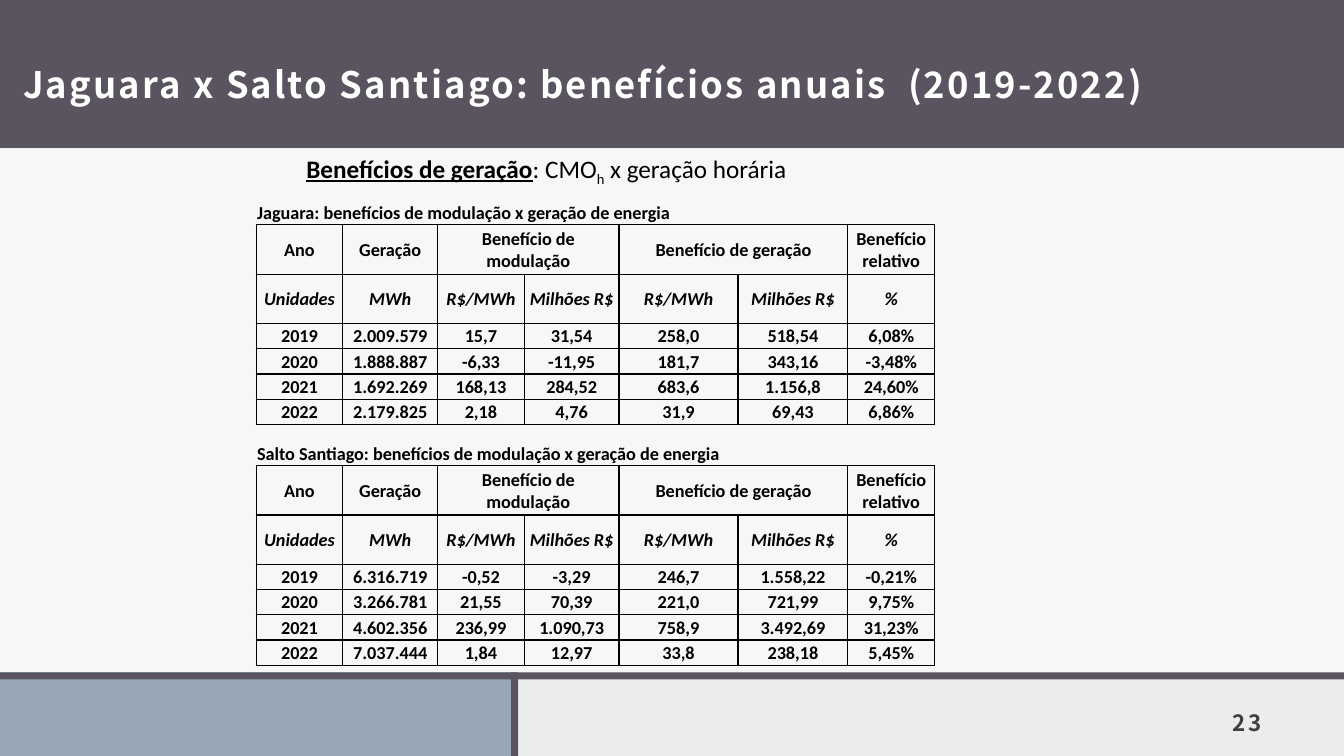
import pptx
import pptx.dml.color
import pptx.enum.shapes
import pptx.enum.text
import pptx.oxml
import pptx.oxml.ns
import pptx.util
from lxml import etree

WIDTH, HEIGHT = 13.33, 7.5
PLUM, MIST, STEEL, WHITE, BLACK = "595460", "EBEDEB", "97A7B8", "FFFFFF", "000000"
HEADING_FONT, BODY_FONT = "Noto Sans CJK JP", "Calibri"
ALIGN = pptx.enum.text.PP_ALIGN
ANCHOR = pptx.enum.text.MSO_ANCHOR

HEADER_HEIGHT, FOOTER_TOP, FOOTER_SPLIT, RULE = 1.47, 6.67, 5.07, 0.07
TABLE_LEFT = 2.54
COLUMNS = [0.86, 0.94, 0.86, 0.94, 1.18, 1.09, 0.86]
ROWS = [0.25, 0.49, 0.49] + [0.25] * 4
HEADINGS = ["Ano", "Geração", "Benefício de modulação", "",
            "Benefício de geração", "", "Benefício relativo"]
UNITS = ["Unidades", "MWh", "R$/MWh", "Milhões R$", "R$/MWh", "Milhões R$", "%"]
JAGUARA = [
    ["2019", "2.009.579", "15,7", "31,54", "258,0", "518,54", "6,08%"],
    ["2020", "1.888.887", "-6,33", "-11,95", "181,7", "343,16", "-3,48%"],
    ["2021", "1.692.269", "168,13", "284,52", "683,6", "1.156,8", "24,60%"],
    ["2022", "2.179.825", "2,18", "4,76", "31,9", "69,43", "6,86%"],
]
SALTO_SANTIAGO = [
    ["2019", "6.316.719", "-0,52", "-3,29", "246,7", "1.558,22", "-0,21%"],
    ["2020", "3.266.781", "21,55", "70,39", "221,0", "721,99", "9,75%"],
    ["2021", "4.602.356", "236,99", "1.090,73", "758,9", "3.492,69", "31,23%"],
    ["2022", "7.037.444", "1,84", "12,97", "33,8", "238,18", "5,45%"],
]


def inches(*lengths):
    return [pptx.util.Inches(length) for length in lengths]


def color(hex_code):
    return pptx.dml.color.RGBColor.from_string(hex_code)


def set_font(paragraph, name, size, hex_code, bold=None, spacing=None):
    font = paragraph.font
    font.name, font.size, font.bold = name, pptx.util.Pt(size), bold
    font.color.rgb = color(hex_code)
    if spacing:
        font._rPr.set("spc", str(int(spacing * 100)))


def add_band(slide, left, top, width, height, hex_code, opacity=None):
    band = slide.shapes.add_shape(pptx.enum.shapes.MSO_SHAPE.RECTANGLE,
                                  *inches(left, top, width, height))
    band.shadow.inherit = False
    band.line.fill.background()
    band.fill.solid()
    band.fill.fore_color.rgb = color(hex_code)
    if opacity:
        srgb = band._element.spPr.find(".//" + pptx.oxml.ns.qn("a:srgbClr"))
        etree.SubElement(srgb, pptx.oxml.ns.qn("a:alpha"), val=str(opacity * 1000))


def add_backdrop(slide):
    slide.background.fill.solid()
    slide.background.fill.fore_color.rgb = color(MIST)
    add_band(slide, 0, 0, WIDTH, HEADER_HEIGHT, PLUM)
    add_band(slide, 0, HEADER_HEIGHT, WIDTH, FOOTER_TOP - HEADER_HEIGHT, WHITE, opacity=60)
    add_band(slide, 0, FOOTER_TOP, FOOTER_SPLIT, HEIGHT - FOOTER_TOP, STEEL)
    add_band(slide, 0, FOOTER_TOP, WIDTH, RULE, PLUM)
    add_band(slide, FOOTER_SPLIT, FOOTER_TOP, RULE, HEIGHT - FOOTER_TOP, PLUM)


def set_frame(shape, anchor):
    frame = shape.text_frame
    frame.word_wrap = True
    frame.auto_size = pptx.enum.text.MSO_AUTO_SIZE.NONE
    frame.vertical_anchor = anchor
    frame.margin_left, frame.margin_top, frame.margin_right, frame.margin_bottom = inches(
        0.12, 0.12, 0.12, 0.1)
    return frame


def fill_title(slide, text):
    title = slide.shapes.title
    slide.shapes._spTree.append(title._element)  # bring in front of the header band
    title.left, title.top, title.width, title.height = inches(0.11, 0.05, 13.22, 1.32)
    frame = set_frame(title, ANCHOR.MIDDLE)
    frame.text = text
    heading = frame.paragraphs[0]
    heading.alignment, heading.line_spacing = ALIGN.LEFT, 1.5
    set_font(heading, HEADING_FONT, 26, WHITE, bold=True, spacing=1.5)


def add_page_number(slide, number):
    box = slide.shapes.add_textbox(*inches(11.56, 6.9, 1.07, 0.5))
    frame = set_frame(box, ANCHOR.BOTTOM)
    frame.text = number
    frame.paragraphs[0].alignment = ALIGN.RIGHT
    set_font(frame.paragraphs[0], HEADING_FONT, 16, "404040", bold=True, spacing=1.5)


def add_formula(slide):
    box = slide.shapes.add_textbox(*inches(2.94, HEADER_HEIGHT, 5.94, 0.4))
    box.text_frame.word_wrap = True
    formula = box.text_frame.paragraphs[0]
    set_font(formula, BODY_FONT, 18, BLACK)
    term, _, subscript, _ = runs = [formula.add_run() for _ in range(4)]
    for run, text in zip(runs, ["Benefícios de geração", ": CMO", "h", " x geração horária"]):
        run.text = text
    term.font.bold = term.font.underline = True
    subscript.font._rPr.set("baseline", "-25000")


def set_borders(cell, visible_sides):
    properties = cell._tc.get_or_add_tcPr()
    for position, side in enumerate("LRTB"):
        paint = ('<a:solidFill><a:srgbClr val="%s"/></a:solidFill>' % BLACK
                 if side in visible_sides else "<a:noFill/>")
        properties.insert(position, pptx.oxml.parse_xml(
            '<a:ln%s %s w="12700">%s</a:ln%s>'
            % (side, pptx.oxml.ns.nsdecls("a"), paint, side)))


def format_cell(cell, text, is_caption, italic):
    cell.text = text
    cell.fill.background()
    cell.margin_left, cell.margin_top, cell.margin_right, cell.margin_bottom = inches(
        0.01, 0.01, 0.01, 0)
    cell.vertical_anchor = ANCHOR.BOTTOM if is_caption else ANCHOR.MIDDLE
    paragraph = cell.text_frame.paragraphs[0]
    paragraph.alignment = ALIGN.LEFT if is_caption else ALIGN.CENTER
    set_font(paragraph, BODY_FONT, 13, BLACK, bold=True)
    paragraph.font.italic = italic
    if not text:  # an empty cell takes its height from the end mark
        paragraph._p.get_or_add_endParaRPr().set("sz", "1300")
    set_borders(cell, "B" if is_caption else "LRTB")


def add_benefit_table(slide, top, plant, years):
    caption = plant + ": benefícios de modulação x geração de energia"
    contents = [[caption] + [""] * (len(COLUMNS) - 1), HEADINGS, UNITS] + years
    table = slide.shapes.add_table(
        len(ROWS), len(COLUMNS),
        *inches(TABLE_LEFT, top, sum(COLUMNS), sum(ROWS))).table
    table.first_row = table.horz_banding = False
    for column, width in zip(table.columns, COLUMNS):
        column.width = pptx.util.Inches(width)
    for row, height in zip(table.rows, ROWS):
        row.height = pptx.util.Inches(height)
    for r, texts in enumerate(contents):
        for c, text in enumerate(texts):
            format_cell(table.cell(r, c), text, is_caption=r == 0, italic=texts is UNITS)
    for row, first, last in [(0, 0, 4), (1, 2, 3), (1, 4, 5)]:
        table.cell(row, first).merge(table.cell(row, last))


def main():
    deck = pptx.Presentation()
    deck.slide_width, deck.slide_height = inches(WIDTH, HEIGHT)
    slide = deck.slides.add_slide(deck.slide_layouts.get_by_name("Title Only"))
    add_backdrop(slide)
    fill_title(slide, "Jaguara x Salto Santiago: benefícios anuais  (2019-2022)")
    add_page_number(slide, "23")
    add_benefit_table(slide, 1.98, "Jaguara", JAGUARA)
    add_benefit_table(slide, 4.37, "Salto Santiago", SALTO_SANTIAGO)
    add_formula(slide)
    deck.save("out.pptx")


if __name__ == "__main__":
    main()
